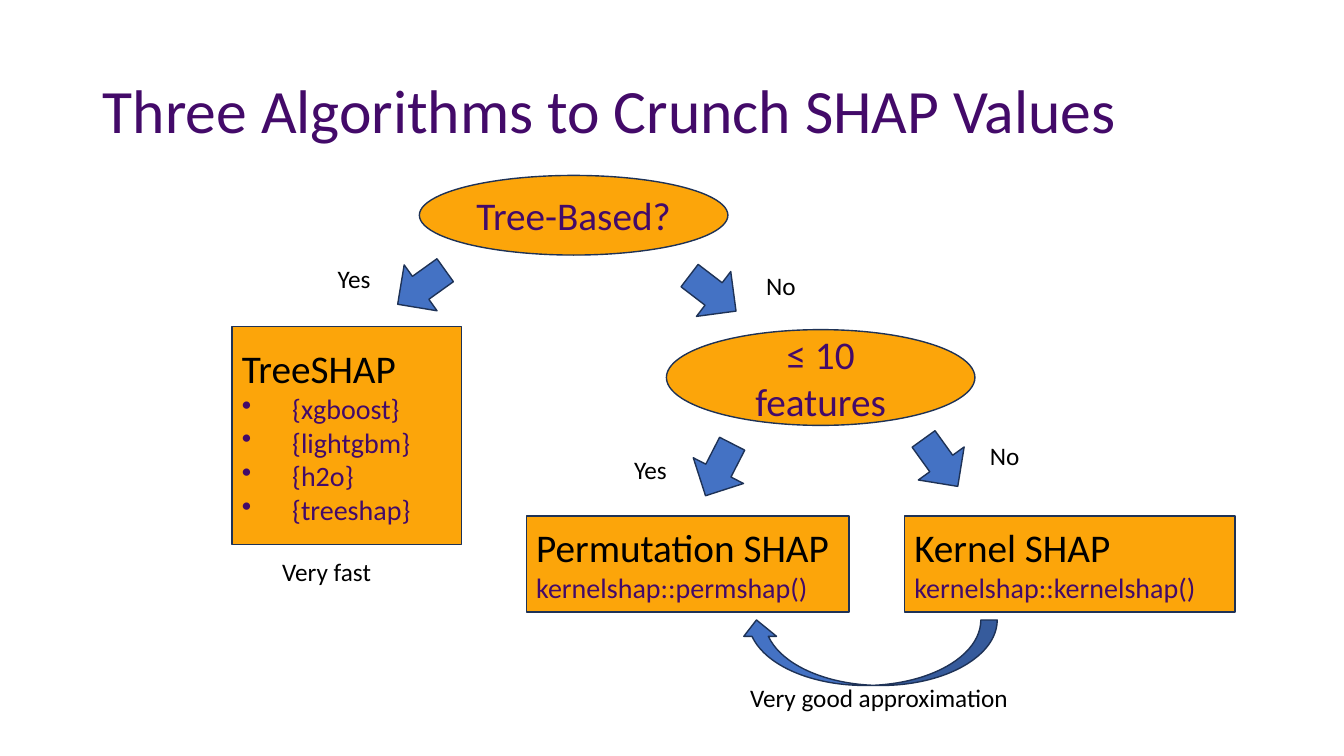
"""Build the slide that shows how to choose among three SHAP algorithms."""
import pptx
import pptx.dml.color
import pptx.enum.shapes
import pptx.enum.text
import pptx.oxml
import pptx.oxml.ns
import pptx.util

PX = 9144
PURPLE = pptx.dml.color.RGBColor(0x43, 0x0A, 0x69)
ORANGE = pptx.dml.color.RGBColor(0xFC, 0xA5, 0x0A)
BLUE = pptx.dml.color.RGBColor(0x44, 0x72, 0xC4)
NAVY = pptx.dml.color.RGBColor(0x1E, 0x32, 0x56)
BLACK = pptx.dml.color.RGBColor(0, 0, 0)
SHAPE = pptx.enum.shapes.MSO_SHAPE
ALIGN = pptx.enum.text.PP_ALIGN
MIDDLE = pptx.enum.text.MSO_ANCHOR.MIDDLE
GROW = pptx.enum.text.MSO_AUTO_SIZE.SHAPE_TO_FIT_TEXT


def write(p, text, size, color, align=ALIGN.LEFT):
    """Put one formatted run in a paragraph."""
    p.alignment = align
    r = p.add_run()
    r.text = text
    for name, value in {"name": "Calibri", "size": pptx.util.Pt(size)}.items():
        setattr(r.font, name, value)
    r.font.color.rgb = color


def add_shape(kind, box, fill, rotation=0):
    """Add a filled and outlined preset shape."""
    sp = s.shapes.add_shape(kind, *[v * PX for v in box])
    sp.shadow.inherit = False
    sp.fill.solid()
    sp.fill.fore_color.rgb = fill
    sp.line.color.rgb = NAVY
    sp.line.width = pptx.util.Pt(1)
    sp.rotation = rotation
    sp.text_frame.vertical_anchor = MIDDLE
    return sp


prs = pptx.Presentation()
prs.slide_width, prs.slide_height = 1333 * PX, 750 * PX
s = prs.slides.add_slide(prs.slide_layouts[5])

title = s.shapes.title
for name, value in {"left": 92, "top": 40, "width": 1150, "height": 145}.items():
    setattr(title, name, value * PX)
title.text_frame.vertical_anchor = MIDDLE
p = title.text_frame.paragraphs[0]
p.line_spacing = 0.9
write(p, "Three Algorithms to Crunch SHAP Values", 44, PURPLE)

questions = [
    ("Tree-Based?", (416, 174, 306, 79)),
    ("≤ 10 features", (661, 327, 306, 95)),
]
for text, box in questions:
    sp = add_shape(SHAPE.OVAL, box, ORANGE)
    write(sp.text_frame.paragraphs[0], text, 28, PURPLE, ALIGN.CENTER)

algorithms = [
    ("TreeSHAP", ["{xgboost}", "{lightgbm}", "{h2o}", "{treeshap}"], (230, 324, 228, 216)),
    ("Permutation SHAP", ["kernelshap::permshap()"], (522, 512, 320, 95)),
    ("Kernel SHAP", ["kernelshap::kernelshap()"], (897, 512, 328, 95)),
]
for name, functions, box in algorithms:
    tf = add_shape(SHAPE.RECTANGLE, box, ORANGE).text_frame
    write(tf.paragraphs[0], name, 28, BLACK)
    for function in functions:
        p = tf.add_paragraph()
        write(p, function, 20, PURPLE)
        if len(functions) > 1:
            pPr = p._p.get_or_add_pPr()
            pPr.set("marL", str(50 * PX))
            pPr.set("indent", str(-50 * PX))
            bullet = pptx.oxml.parse_xml(
                f'<a:buChar {pptx.oxml.ns.nsdecls("a")} char="•"/>')
            pPr.append(bullet)

for left, top, rotation in [(390, 256, 54.4), (679, 262, 307.4),
                            (685, 437, 27.1), (905, 430, 324.2)]:
    add_shape(SHAPE.DOWN_ARROW, (left, top, 56, 58), BLUE, rotation)

sp = add_shape(SHAPE.CURVED_UP_ARROW, (734, 615, 255, 65), BLUE, 180)
sp._element.spPr.get_or_add_xfrm().set("flipV", "1")

labels = [
    ("Yes", 325, 256, 53),
    ("No", 750, 263, 50),
    ("Yes", 619, 446, 56),
    ("No", 972, 432, 50),
    ("Very fast", 270, 547, 109),
    ("Very good approximation", 734, 672, 279),
]
for text, left, top, width in labels:
    tf = s.shapes.add_textbox(left * PX, top * PX, width * PX, 40 * PX).text_frame
    for name, value in {"word_wrap": False, "auto_size": GROW}.items():
        setattr(tf, name, value)
    write(tf.paragraphs[0], text, 18, BLACK)

prs.save("out.pptx")
